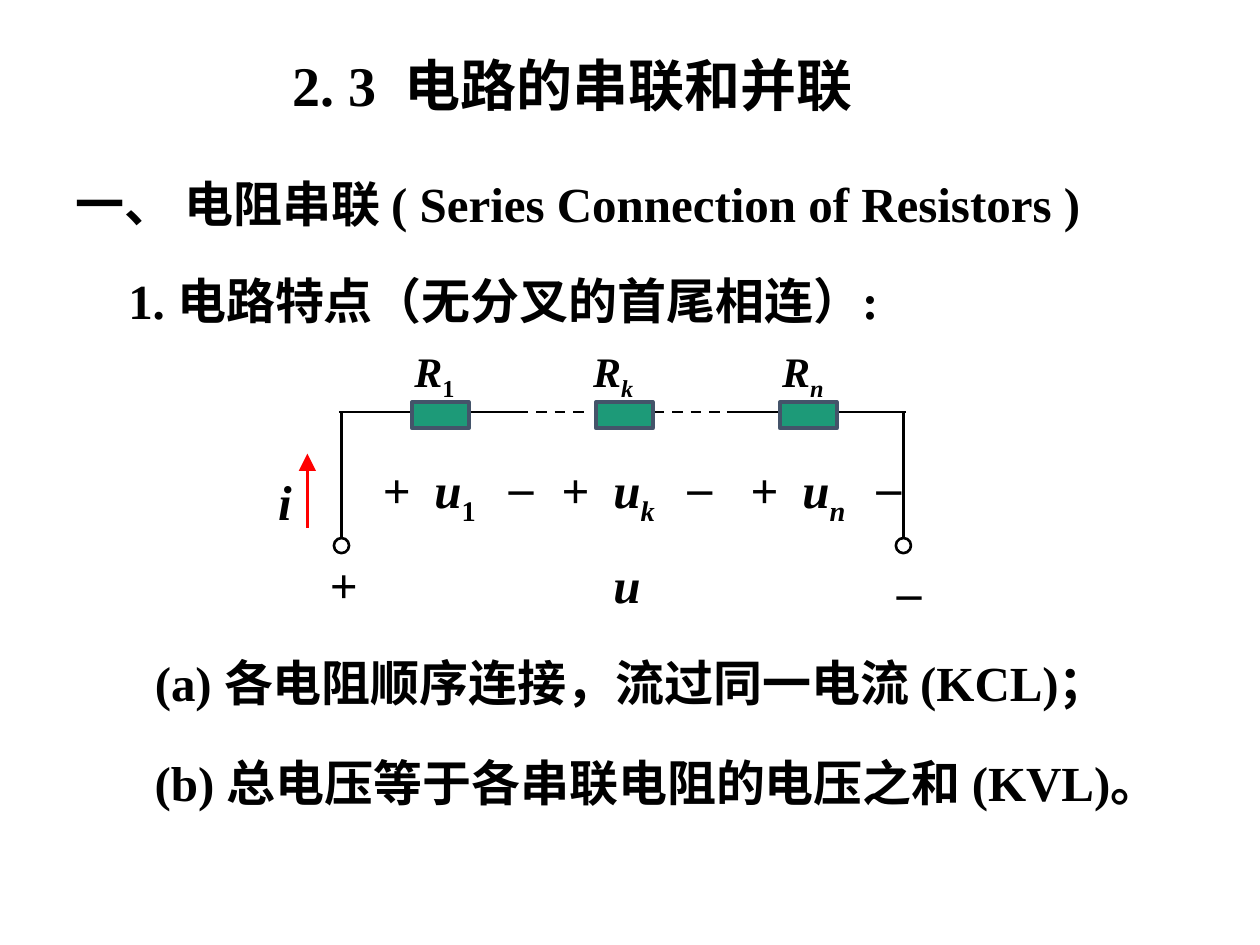
from pptx import Presentation
from pptx.dml.color import RGBColor
from pptx.enum.dml import MSO_LINE
from pptx.enum.shapes import MSO_CONNECTOR, MSO_SHAPE
from pptx.enum.text import MSO_AUTO_SIZE
from pptx.oxml.ns import qn
from pptx.util import Inches, Pt
from lxml.etree import SubElement

FONT = "Times New Roman"
BLACK, RED, GREEN, SLATE = "000000", "FF0000", "1D9A78", "44546A"

TITLE = "2. 3  电路的串联和并联"
LINES = [
    ("一、 电阻串联 ( Series Connection of Resistors )", 0.5, 1.33, 9.13),
    ("1. 电路特点（无分叉的首尾相连）:", 0.92, 2.1, 6.44),
    ("(a) 各电阻顺序连接，流过同一电流 (KCL)；", 1.13, 5.13, 8.15),
    ("(b) 总电压等于各串联电阻的电压之和 (KVL)。", 1.13, 5.92, 8.87),
]
STAGES = [("1", 2.94, 3.19), ("k", 4.36, 4.61), ("n", 5.86, 6.11)]
SIGNS = [("+", 2.52, 4.35), ("_", 7.02, 4.27)]
SYMBOLS = [("i", 2.11, 3.69, 0.33), ("u", 4.77, 4.35, 0.56)]

WIRE_Y, TERMINAL_Y = 3.27, 4.27
LEFT_X, RIGHT_X = 2.71, 7.17
RESISTOR_X, RESISTOR_PITCH = 3.27, 1.46
RESISTOR_W, RESISTOR_H = 0.45, 0.21
TERMINAL_D = 0.12
SOLID_WIRES = [(2.69, 3.27), (3.73, 4.14), (5.77, 6.19), (6.64, 7.19)]
DASHED_WIRES = [(4.11, 4.69), (5.19, 5.77)]


def rgb(color):
    return RGBColor.from_string(color)


def add_text(text, x, y, w, h=0.57, size=28, italic=False, sub=""):
    tf = slide.shapes.add_textbox(Inches(x), Inches(y), Inches(w), Inches(h)).text_frame
    tf.word_wrap = True
    tf.auto_size = MSO_AUTO_SIZE.SHAPE_TO_FIT_TEXT
    p = tf.paragraphs[0]
    p.font.name, p.font.size, p.font.bold = FONT, Pt(size), True
    p.font.color.rgb = rgb(BLACK)
    r = p.add_run()
    r.text = text
    if italic:
        r.font.italic = True
    if sub:
        r = p.add_run()
        r.text = sub
        r.font.italic = sub.isalpha()
        r._r.get_or_add_rPr().set("baseline", "-25000")


def add_line(x1, y1, x2, y2, color=BLACK, dashed=False, arrow=False):
    ln = slide.shapes.add_connector(
        MSO_CONNECTOR.STRAIGHT, Inches(x1), Inches(y1), Inches(x2), Inches(y2))
    ln.line.color.rgb = rgb(color)
    ln.line.width = Pt(1.5)
    if dashed:
        ln.line.dash_style = MSO_LINE.DASH
    if arrow:
        SubElement(ln.line._get_or_add_ln(), qn("a:tailEnd"),
                   type="triangle", w="lg", len="lg")
    SubElement(ln._element.spPr, qn("a:effectLst"))


def add_outline(kind, x, y, w, h, line, width, fill=None):
    sp = slide.shapes.add_shape(kind, Inches(x), Inches(y), Inches(w), Inches(h))
    sp.shadow.inherit = False
    if fill:
        sp.fill.solid()
        sp.fill.fore_color.rgb = rgb(fill)
    else:
        sp.fill.background()
    sp.line.color.rgb = rgb(line)
    sp.line.width = Pt(width)


prs = Presentation()
prs.slide_width, prs.slide_height = Inches(10), Inches(7.5)
slide = prs.slides.add_slide(prs.slide_layouts[6])

add_text(TITLE, 2.22, 0.35, 5, 0.64, size=32)
for text, x, y, w in LINES:
    add_text(text, x, y, w)

for x1, x2 in SOLID_WIRES:
    add_line(x1, WIRE_Y, x2, WIRE_Y)
for x1, x2 in DASHED_WIRES:
    add_line(x1, WIRE_Y, x2, WIRE_Y, dashed=True)

for n, (sub, voltage_x, label_x) in enumerate(STAGES):
    add_outline(MSO_SHAPE.RECTANGLE, RESISTOR_X + n * RESISTOR_PITCH, 3.19,
                RESISTOR_W, RESISTOR_H, SLATE, 2.25, GREEN)
    add_text("R", label_x, 2.69, 0.67, 0.56, size=24, italic=True, sub=sub)
    add_text("+", voltage_x, 3.6, 0.33)
    add_text("u", voltage_x + 0.41, 3.6, 0.67, 0.63, italic=True, sub=sub)
    add_text("_", voltage_x + 1, 3.44, 0.33)

for x in (LEFT_X, RIGHT_X):
    add_line(x, WIRE_Y, x, TERMINAL_Y)
    add_outline(MSO_SHAPE.OVAL, x - TERMINAL_D / 2, TERMINAL_Y,
                TERMINAL_D, TERMINAL_D, BLACK, 1.5)

add_line(2.44, 4.19, 2.44, 3.6, color=RED, arrow=True)
for text, x, y in SIGNS:
    add_text(text, x, y, 0.33)
for text, x, y, w in SYMBOLS:
    add_text(text, x, y, w, italic=True)

prs.save("out.pptx")
